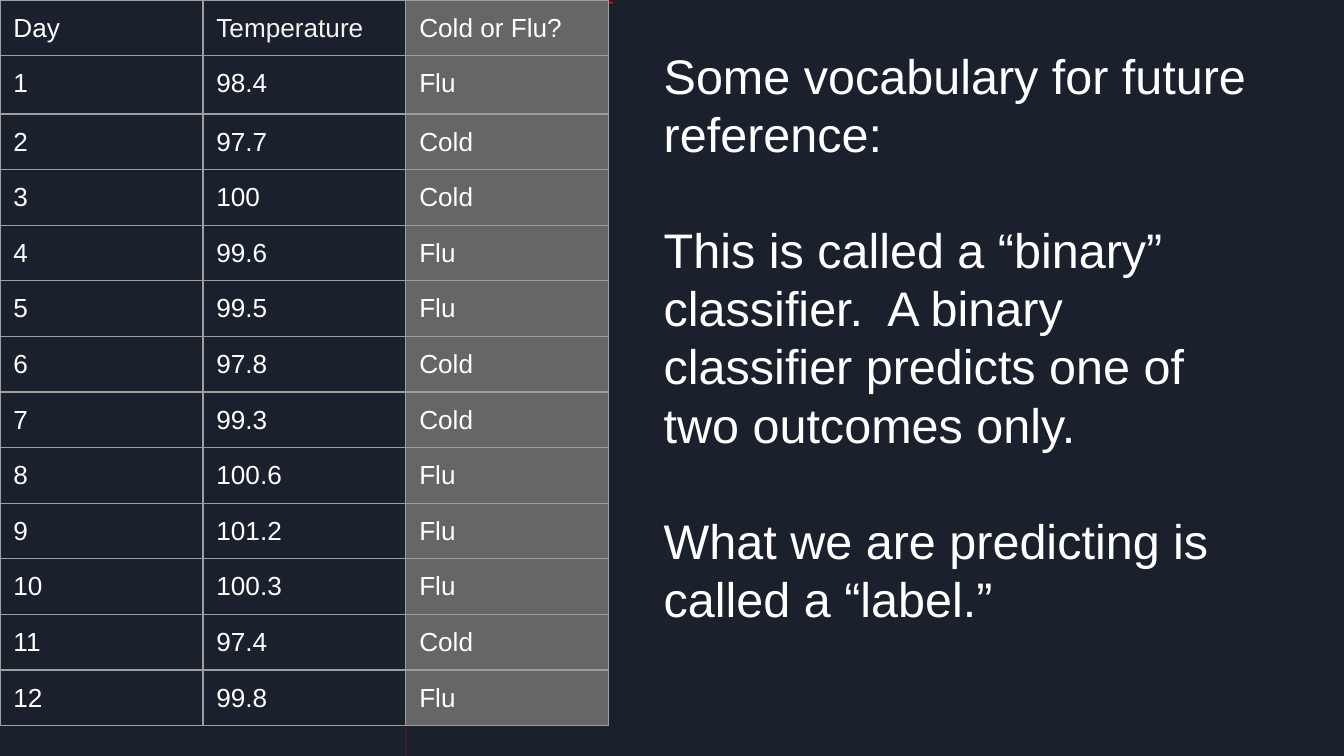
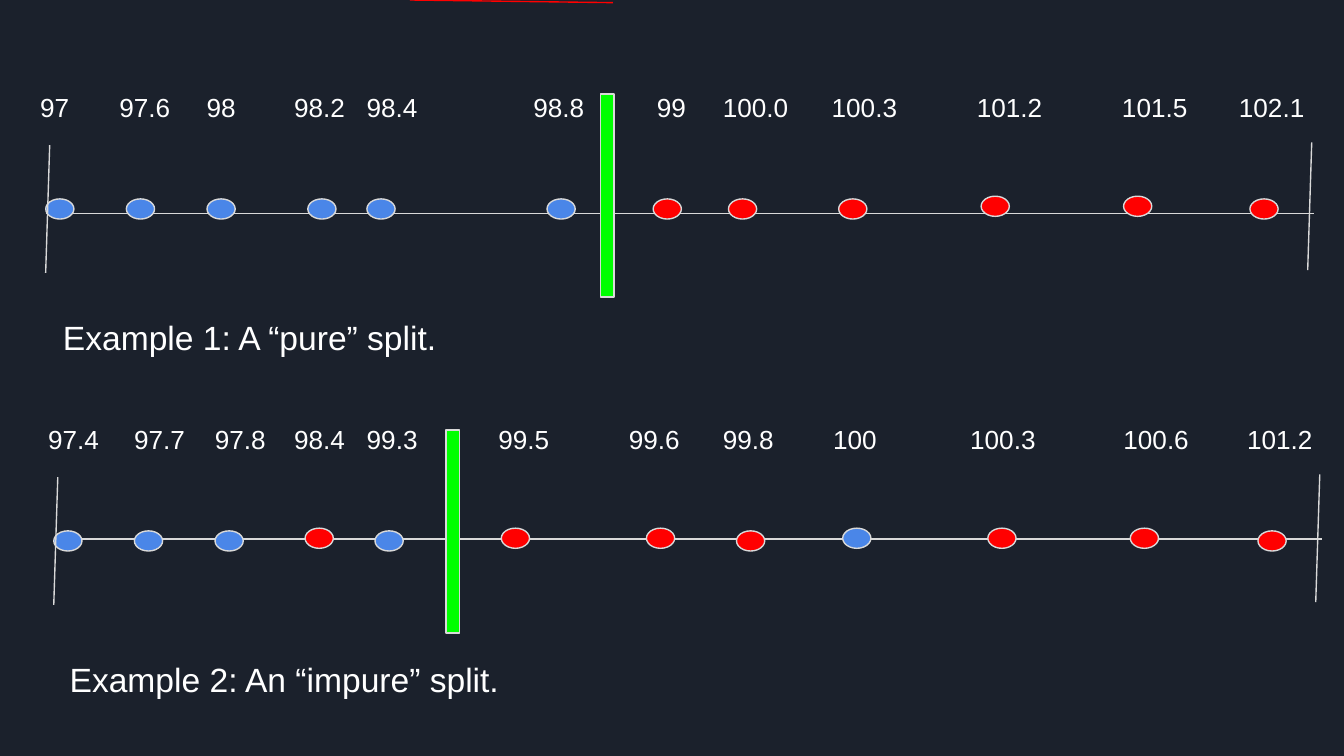
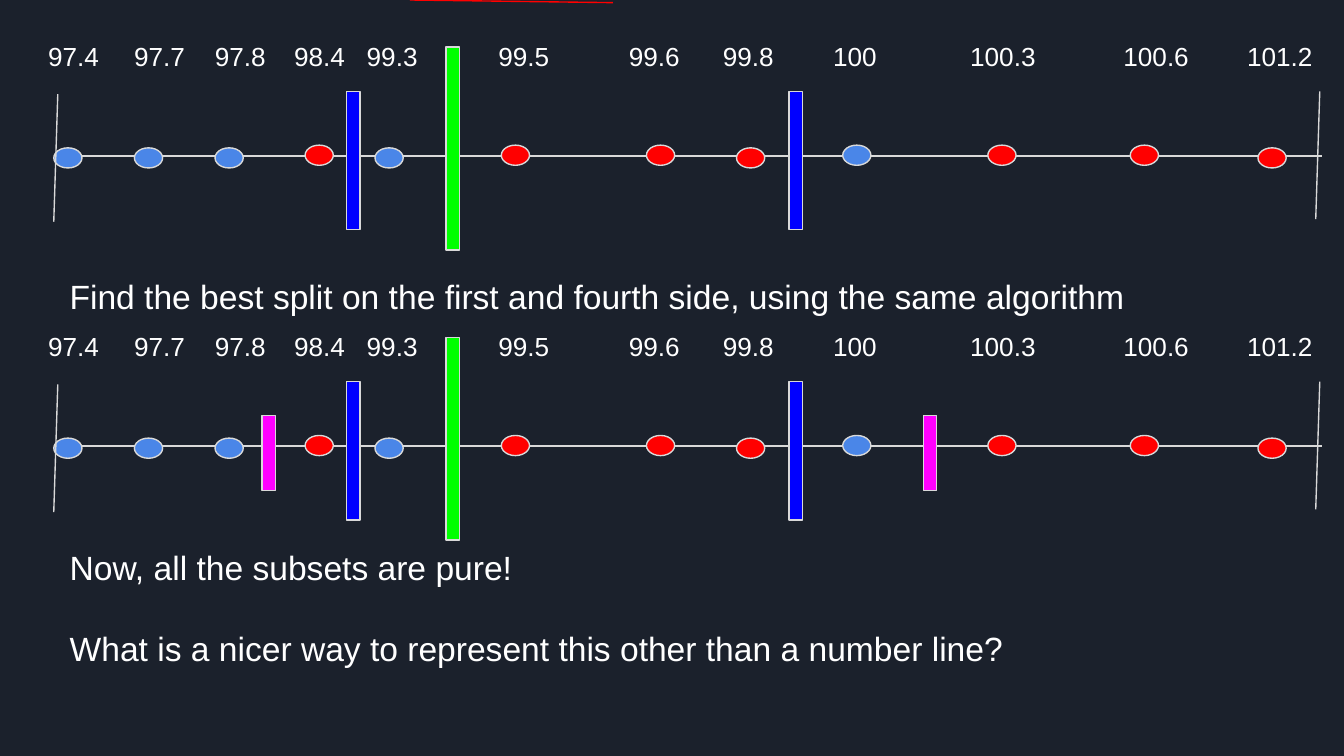
from dataclasses import dataclass

from lxml import etree
from pptx import Presentation
from pptx.dml.color import RGBColor
from pptx.enum.shapes import MSO_CONNECTOR, MSO_SHAPE
from pptx.oxml.ns import qn
from pptx.util import Inches, Pt

OVAL, RECT = MSO_SHAPE.OVAL, MSO_SHAPE.RECTANGLE
STRAIGHT = MSO_CONNECTOR.STRAIGHT


@dataclass(frozen=True)
class Theme:
    """Colours, font and type sizes of the deck."""
    back: str = "1B212C"
    text: str = "FFFFFF"
    soft: str = "F3F3F3"
    rule: str = "D9D9D9"
    grid: str = "9E9E9E"
    label: str = "666666"
    cold: str = "4A86E8"
    flu: str = "FF0000"
    first: str = "00FF00"
    second: str = "0000FF"
    third: str = "FF00FF"
    font: str = "Arial"
    big: float = 26
    note: float = 18
    small: float = 14
    stroke: float = 0.75


T = Theme()
INSET = 0.1

DAYS = [("98.4", "Flu"), ("97.7", "Cold"), ("100", "Cold"), ("99.6", "Flu"),
        ("99.5", "Flu"), ("97.8", "Cold"), ("99.3", "Cold"), ("100.6", "Flu"),
        ("101.2", "Flu"), ("100.3", "Flu"), ("97.4", "Cold"), ("99.8", "Flu")]

# Each point: reading, label left, dot left, colour, lift of the dot
PURE = [("97", 0.3, 0.34, T.cold, 0), ("97.6", 0.89, 0.94, T.cold, 0),
        ("98", 1.54, 1.54, T.cold, 0), ("98.2", 2.19, 2.29, T.cold, 0),
        ("98.4", 2.73, 2.73, T.cold, 0), ("98.8", 3.97, 4.07, T.cold, 0),
        ("99", 4.89, 4.86, T.flu, 0), ("100.0", 5.38, 5.42, T.flu, 0),
        ("100.3", 6.19, 6.24, T.flu, 0), ("101.2", 7.27, 7.3, T.flu, 0.02),
        ("101.5", 8.35, 8.36, T.flu, 0.02), ("102.1", 9.22, 9.3, T.flu, 0)]
MIXED = [("97.4", 0.36, 0.4, T.cold, 0), ("97.7", 1, 1, T.cold, 0),
         ("97.8", 1.6, 1.6, T.cold, 0), ("98.4", 2.19, 2.27, T.flu, 0.02),
         ("99.3", 2.73, 2.79, T.cold, 0), ("99.5", 3.71, 3.73, T.flu, 0.02),
         ("99.6", 4.68, 4.81, T.flu, 0.02), ("99.8", 5.38, 5.48, T.flu, 0),
         ("100", 6.2, 6.27, T.cold, 0.02), ("100.3", 7.22, 7.35, T.flu, 0.02),
         ("100.6", 8.36, 8.41, T.flu, 0.02), ("101.2", 9.28, 9.36, T.flu, 0)]

# Each split: left, rise above the dots, height, colour
ROOT = [(3.32, 0.75, 1.51, T.first)]
HALVES = ROOT + [(x, 0.42, 1.03, T.second) for x in (2.58, 5.87)]
LEAVES = HALVES + [(x, 0.17, 0.56, T.third) for x in (1.95, 6.87)]


def rgb(code):
    """Turn a hex code into a colour."""
    return RGBColor.from_string(code)


def style(run, size, color=T.text):
    """Set size, face and colour of a run."""
    for key, value in {"size": Pt(size), "name": T.font}.items():
        setattr(run.font, key, value)
    run.font.color.rgb = rgb(color)


def pad(item):
    """Give a text frame or cell equal margins."""
    for side in ("left", "top", "right", "bottom"):
        setattr(item, "margin_" + side, Inches(INSET))


def add_slide(deck):
    """Add a blank dark slide with the red stroke at its top edge."""
    slide = deck.slides.add_slide(deck.slide_layouts[6])
    slide.background.fill.solid()
    slide.background.fill.fore_color.rgb = rgb(T.back)
    add_line(slide, (3.05, 0), (4.56, 0.02), T.flu)
    return slide


def add_text(slide, box, lines, size, gap=0):
    """Add a wrapped text box, with a gap in points between paragraphs."""
    frame = slide.shapes.add_textbox(*map(Inches, box)).text_frame
    frame.word_wrap = True
    pad(frame)
    for i, line in enumerate(lines):
        para = frame.paragraphs[0] if i == 0 else frame.add_paragraph()
        para.space_before = Pt(gap if i else 0)
        run = para.add_run()
        run.text = line
        style(run, size)
    return frame


def add_line(slide, start, end, color=T.rule, alpha=None):
    """Add a thin line, see-through if alpha (percent) is given."""
    line = slide.shapes.add_connector(STRAIGHT, *map(Inches, start + end))
    line.line.width = Pt(T.stroke)
    line.line.color.rgb = rgb(color)
    props = line._element.spPr
    etree.SubElement(props, qn("a:effectLst"))
    if alpha is not None:
        tint = props.find(".//" + qn("a:srgbClr"))
        etree.SubElement(tint, qn("a:alpha"), val=str(alpha * 1000))


def add_mark(slide, kind, box, color):
    """Add a filled shape with a light outline."""
    mark = slide.shapes.add_shape(kind, *map(Inches, box))
    mark.shadow.inherit = False
    mark.fill.solid()
    mark.fill.fore_color.rgb = rgb(color)
    mark.line.color.rgb = rgb(T.rule)
    mark.line.width = Pt(T.stroke)


def add_scale(slide, points, top, splits, drop=0.06):
    """Add a number line whose dots start at top; drop leads to its axis."""
    left = points[0][2]
    add_line(slide, (left, top + drop), (left + 9.44, top + drop))
    for _, _, x, color, lift in points:
        add_mark(slide, OVAL, (x, top - lift, 0.21, 0.15), color)
    for x, lift in ((left, 0), (left + 9.39, 0.02)):
        add_line(slide, (x + 0.03, top - 0.4 - lift), (x, top + 0.55 - lift))
    add_labels(slide, points, left - 0.31, top - 0.9)
    for x, rise, height, color in splits:
        add_mark(slide, RECT, (x, top - rise, 0.1, height), color)


def add_labels(slide, points, left, top):
    """Add the readings as one line of text set on tab stops."""
    line = "".join("\t" + point[0] for point in points)
    frame = add_text(slide, (left, top, 9.93, 0.2), [line], T.small)
    props = frame.paragraphs[0]._p.get_or_add_pPr()
    tabs = etree.SubElement(props, qn("a:tabLst"))
    for point in points:
        stop = Inches(point[1] - left - INSET)
        etree.SubElement(tabs, qn("a:tab"), pos=str(stop), algn="l")


def add_border(cell):
    """Draw all four borders of a cell."""
    props = cell._tc.get_or_add_tcPr()
    for i, side in enumerate("LRTB"):
        edge = etree.Element(qn("a:ln" + side), w=str(Pt(T.stroke)))
        fill = etree.SubElement(edge, qn("a:solidFill"))
        etree.SubElement(fill, qn("a:srgbClr"), val=T.grid)
        props.insert(i, edge)


def add_grid(slide):
    """Add the table of days, with the label column shaded."""
    rows = [("Day", "Temperature", "Cold or Flu?")]
    rows += [(str(i), *day) for i, day in enumerate(DAYS, 1)]
    size = map(Inches, (0, 0, 4.53, 0.39 * len(rows)))
    table = slide.shapes.add_table(len(rows), 3, *size).table
    table.first_row = table.horz_banding = False
    for col in table.columns:
        col.width = Inches(1.51)
    for r, row in enumerate(rows):
        table.rows[r].height = Inches(0.43 if r == 1 else 0.39)
        for c, value in enumerate(row):
            cell = table.cell(r, c)
            pad(cell)
            if r != 1:
                cell.margin_bottom = Inches(0.08)
            run = cell.text_frame.paragraphs[0].add_run()
            run.text = value
            style(run, T.small, T.soft if (r, c) == (0, 1) else T.text)
            if c == 2:
                cell.fill.solid()
                cell.fill.fore_color.rgb = rgb(T.label)
            else:
                cell.fill.background()
            add_border(cell)


def words(deck):
    """Build the vocabulary slide."""
    slide = add_slide(deck)
    add_text(slide, (4.84, 0.24, 4.67, 4.99), [
        "Some vocabulary for future reference:",
        "This is called a “binary” classifier.  A binary classifier "
        "predicts one of two outcomes only. ",
        "What we are predicting is called a “label.” "], T.big, 31)
    add_line(slide, (3.02, 0), (3.02, 5.63), T.flu, 20)
    add_grid(slide)


def splits(deck):
    """Build the slide with a pure and an impure split."""
    slide = add_slide(deck)
    add_scale(slide, PURE, 1.48, [(4.47, 0.78, 1.51, T.first)], 0.11)
    add_scale(slide, MIXED, 3.95, ROOT)
    add_text(slide, (0.37, 2.26, 9.49, 0.7),
             ["Example 1: A “pure” split."], T.note)
    add_text(slide, (0.42, 4.8, 9.34, 0.56),
             ["Example 2: An “impure” split."], T.note)


def steps(deck):
    """Build the slide that splits further until all is pure."""
    slide = add_slide(deck)
    add_scale(slide, MIXED, 1.1, HALVES)
    add_text(slide, (0.42, 1.95, 9.34, 0.51),
             ["Find the best split on the first and fourth side, "
              "using the same algorithm"], T.note)
    add_scale(slide, MIXED, 3.26, LEAVES)
    add_text(slide, (0.42, 3.97, 9.34, 1.51),
             ["Now, all the subsets are pure!",
              "What is a nicer way to represent this other than "
              "a number line?"], T.note, 22)


def main():
    """Build and save the deck."""
    deck = Presentation()
    deck.slide_width, deck.slide_height = Inches(10), Inches(10 * 9 / 16)
    for build in (words, splits, steps):
        build(deck)
    deck.save("out.pptx")


main()
